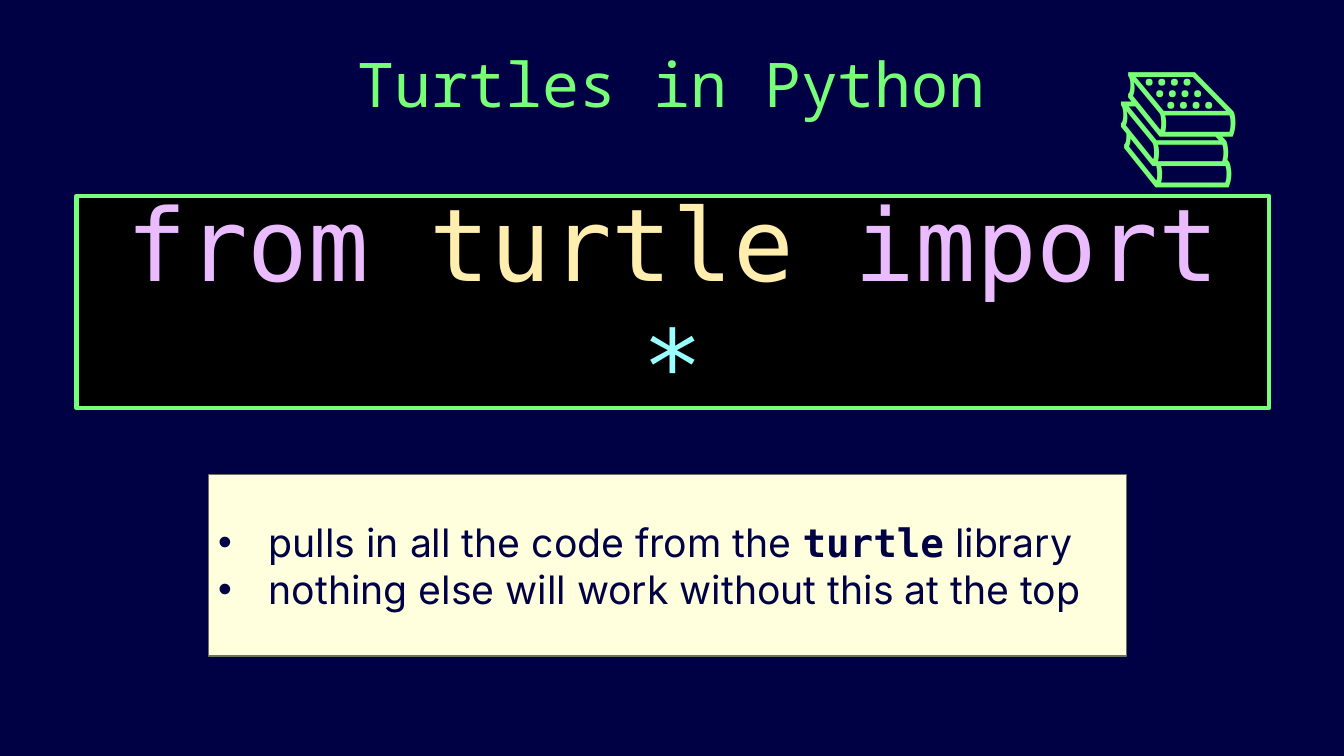
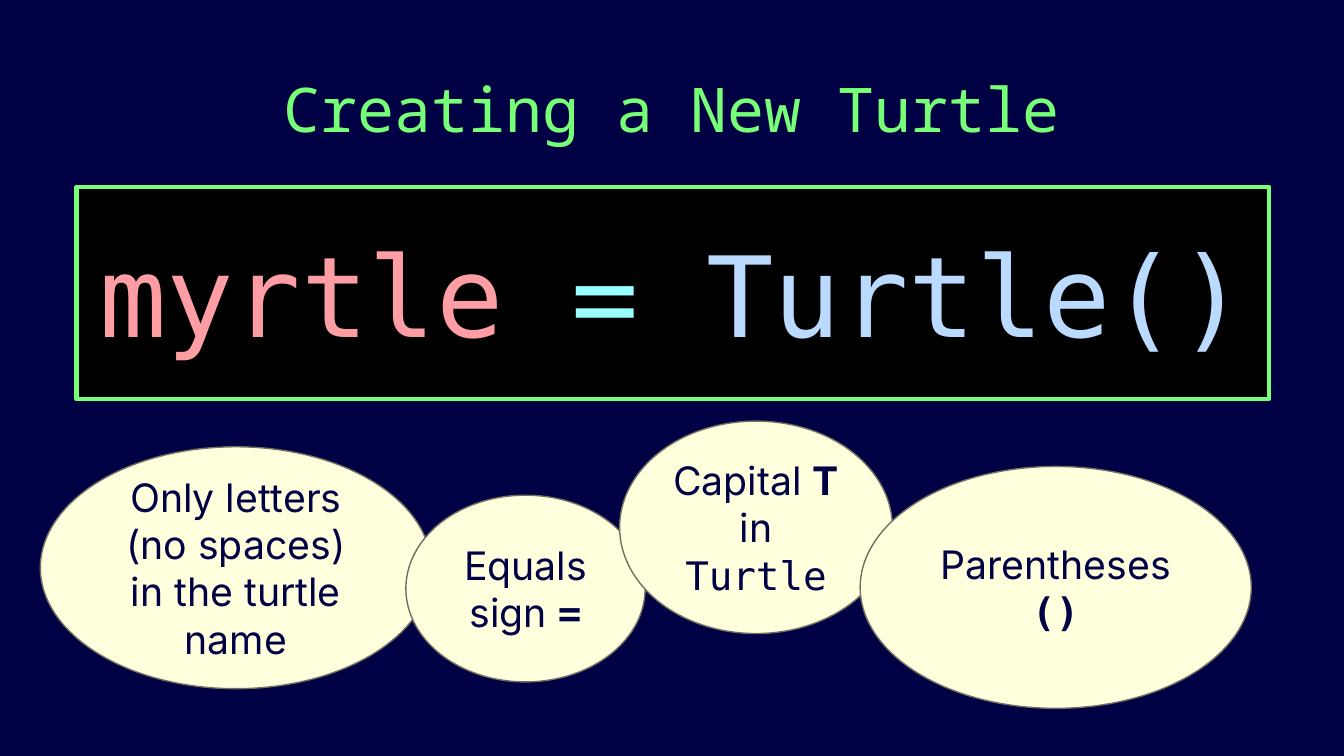
import pptx
import pptx.util
import pptx.dml.color
import pptx.enum.shapes
import pptx.enum.text
import pptx.oxml
import pptx.oxml.ns

COLOURS = {
    "night": "000044", "green": "77FF77", "black": "000000",
    "cream": "FFFFDD", "edge": "707061", "violet": "EBBBFF",
    "sand": "FFEEAD", "cyan": "99FFFF", "rose": "FF9DA4", "sky": "BBDAFF",
}
MONO, SANS, TITLE = "DejaVu Sans Mono", "Inter", "Noto Sans Mono"
WIDTH, HEIGHT = pptx.util.Inches(13.33), pptx.util.Inches(7.5)
COLUMNS, ROWS = 100, 100
SHAPES = pptx.enum.shapes.MSO_SHAPE
CENTRE = pptx.enum.text.PP_ALIGN.CENTER
LEFT = pptx.enum.text.PP_ALIGN.LEFT
FRAME = {
    "word_wrap": True,
    "auto_size": pptx.enum.text.MSO_AUTO_SIZE.NONE,
    "vertical_anchor": pptx.enum.text.MSO_ANCHOR.MIDDLE,
}
NOTE = {"name": SANS, "size": pptx.util.Pt(28), "colour": "night"}
BOLD_CODE = {"name": MONO, "bold": True}


def apply_format(target, values):
    for name, value in values.items():
        setattr(target, name, value)


def colour(name):
    return pptx.dml.color.RGBColor.from_string(COLOURS[name])


def grid_box(left, top, width, height):
    return (round(left * WIDTH / COLUMNS), round(top * HEIGHT / ROWS),
            round(width * WIDTH / COLUMNS), round(height * HEIGHT / ROWS))


def write_line(para, spans, base, align=CENTRE):
    para.alignment = align
    for text, changes in spans:
        span = para.add_run()
        span.text = text
        values = {"bold": False, **base, **changes}
        span.font.color.rgb = colour(values.pop("colour"))
        apply_format(span.font, values)


def add_bullet(para):
    properties = para._p.get_or_add_pPr()
    indent = pptx.util.Inches(0.5)
    properties.set("marL", str(indent))
    properties.set("indent", str(-indent))
    for tag, name, value in (("buFont", "typeface", "Arial"), ("buChar", "char", "•")):
        bullet = pptx.oxml.parse_xml(
            f'<a:{tag} {pptx.oxml.ns.nsdecls("a")} {name}="{value}"/>')
        properties.append(bullet)


def add_page(deck, title, top, height):
    page = deck.slides.add_slide(deck.slide_layouts[5])
    box = page.shapes.title
    box.left, box.top, box.width, box.height = grid_box(6.9, top, 86.2, height)
    apply_format(box.text_frame, FRAME)
    para = box.text_frame.paragraphs[0]
    para.line_spacing = 0.9
    write_line(para, [(title, {})],
               {"name": TITLE, "size": pptx.util.Pt(44), "colour": "green"})
    return page


def add_panel(page, kind, box, fill, edge, weight):
    panel = page.shapes.add_shape(kind, *grid_box(*box))
    panel.shadow.inherit = False
    panel.fill.solid()
    panel.fill.fore_color.rgb = colour(fill)
    panel.line.color.rgb = colour(edge)
    panel.line.width = pptx.util.Pt(weight)
    apply_format(panel.text_frame, FRAME)
    return panel.text_frame


def add_code(page, top, size, words):
    frame = add_panel(page, SHAPES.RECTANGLE, (5.7, top, 88.7, 28.1), "black", "green", 3)
    spans = [(text, {"colour": name}) for text, name in words]
    write_line(frame.paragraphs[0], spans, {"name": MONO, "size": pptx.util.Pt(size)})


def add_note(page, box, lines):
    frame = add_panel(page, SHAPES.RECTANGLE, box, "cream", "edge", 1)
    for index, spans in enumerate(lines):
        para = frame.add_paragraph() if index else frame.paragraphs[0]
        write_line(para, spans, NOTE, LEFT)
        add_bullet(para)


def add_bubble(page, box, spans):
    frame = add_panel(page, SHAPES.OVAL, box, "cream", "edge", 1)
    write_line(frame.paragraphs[0], spans, NOTE)


def add_books(page, box):
    frame = page.shapes.add_textbox(*grid_box(*box)).text_frame
    apply_format(frame, {
        "word_wrap": False,
        "auto_size": pptx.enum.text.MSO_AUTO_SIZE.SHAPE_TO_FIT_TEXT,
    })
    write_line(frame.paragraphs[0], [("📚", {})],
               {"name": SANS, "size": pptx.util.Pt(88), "colour": "green"}, LEFT)


def build_import_page(deck):
    page = add_page(deck, "Turtles in Python", 0, 23.1)
    add_code(page, 25.9, 72, [("from ", "violet"), ("turtle ", "sand"),
                              ("import ", "violet"), ("*", "cyan")])
    add_note(page, (15.5, 62.8, 68.3, 24), [
        [("pulls in all the code from the ", {}), ("turtle", BOLD_CODE), (" library", {})],
        [("nothing else will work without this at the top", {})],
    ])
    add_books(page, (82.4, 4.8, 13.3, 21.1))


def build_creation_page(deck):
    page = add_page(deck, "Creating a New Turtle", 5.3, 19.3)
    add_code(page, 24.7, 80, [("myrtle ", "rose"), ("= ", "cyan"), ("Turtle()", "sky")])
    bubbles = [
        ((3, 59.1, 29.1, 32), [("Only letters (no spaces) in the turtle name", {})]),
        ((30.2, 65.5, 17.8, 24.7), [("Equals sign ", {}), ("=", BOLD_CODE)]),
        ((46.1, 55.7, 20.3, 28.1), [("Capital ", {}), ("T", {"bold": True}),
                                    (" in ", {}), ("Turtle", {"name": MONO})]),
        ((64, 61.7, 29.1, 32), [("Parentheses ", {}), ("()", BOLD_CODE)]),
    ]
    for box, spans in bubbles:
        add_bubble(page, box, spans)


def main():
    deck = pptx.Presentation()
    deck.slide_width, deck.slide_height = WIDTH, HEIGHT
    backdrop = deck.slide_master.background.fill
    backdrop.solid()
    backdrop.fore_color.rgb = colour("night")
    build_import_page(deck)
    build_creation_page(deck)
    deck.save("out.pptx")


if __name__ == "__main__":
    main()
